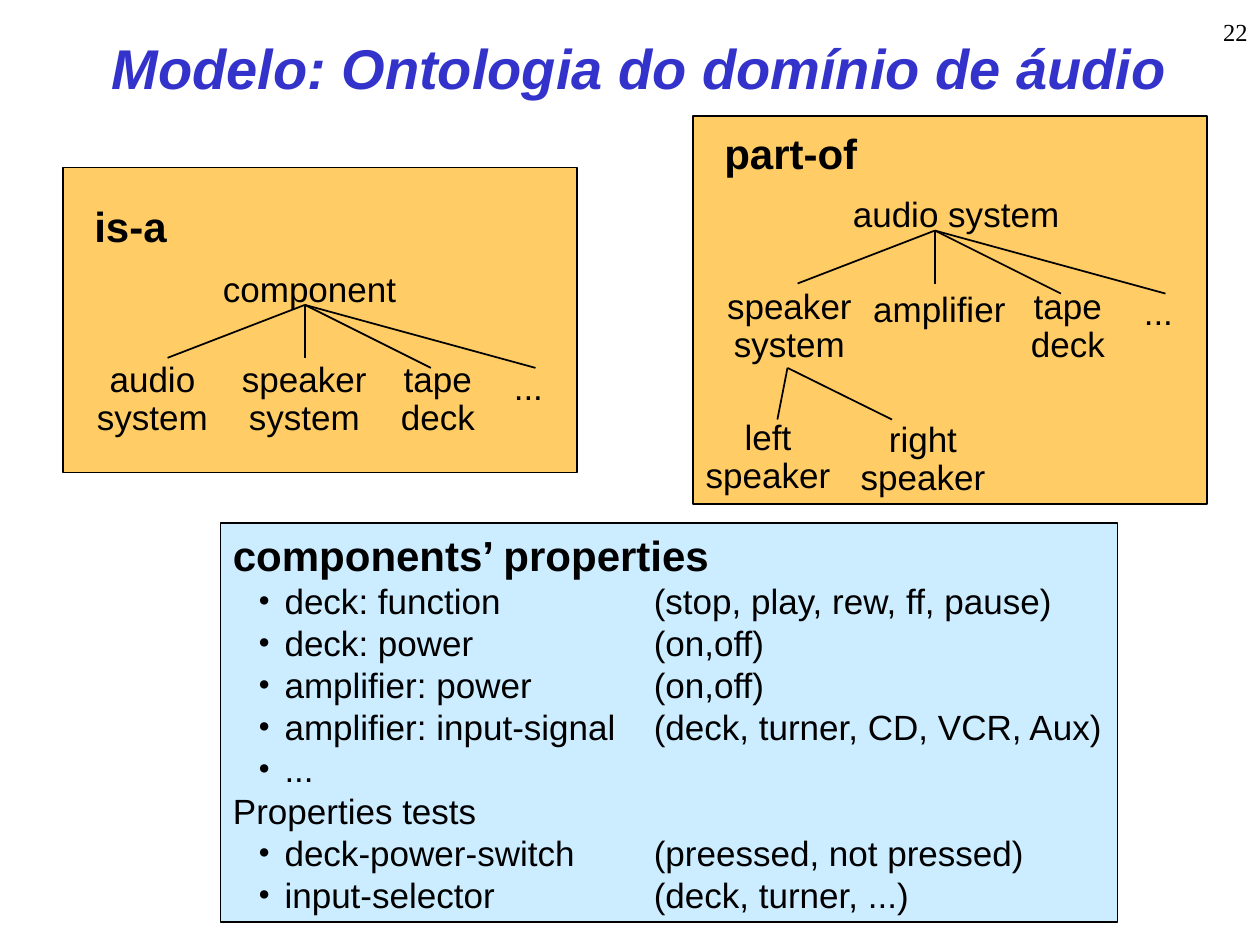
import dataclasses

import pptx
import pptx.dml.color
import pptx.enum.shapes
import pptx.enum.text
import pptx.oxml
import pptx.oxml.ns
import pptx.util

Inches = pptx.util.Inches
ALIGN = pptx.enum.text.PP_ALIGN
ANCHOR = pptx.enum.text.MSO_ANCHOR
FIT = pptx.enum.text.MSO_AUTO_SIZE


@dataclasses.dataclass(frozen=True)
class Theme:
    """Colours, fonts and sizes of the slide."""

    ink: str = "000000"
    title: str = "3333CC"
    tree: str = "FFCC66"
    properties: str = "CCECFF"
    font: str = "Arial"
    number_font: str = "Times New Roman"
    title_size: int = 32
    heading_size: int = 24
    body_size: int = 20
    number_size: int = 14
    line: int = 1


def rgb(value):
    """Turn a hex string into a colour."""
    return pptx.dml.color.RGBColor.from_string(value)


def write(para, text, *, size, font, color, bold=False, italic=False, align=None, spacing=None):
    """Put one formatted run of text in a paragraph."""
    span = para.add_run()
    span.text = text
    span.font.size = pptx.util.Pt(size)
    span.font.name = font
    span.font.bold = bold
    span.font.italic = italic
    span.font.color.rgb = rgb(color)
    para.alignment = align
    para.line_spacing = spacing


def add_xml(parent, tag, **attributes):
    """Append a DrawingML element to its parent."""
    child = pptx.oxml.parse_xml(f"<a:{tag} {pptx.oxml.ns.nsdecls('a')}/>")
    for name, value in attributes.items():
        child.set(name, str(value))
    parent.append(child)
    return child


class SlideBuilder:
    """Draws styled elements on the current slide or group."""

    def __init__(self, page, theme):
        """Keep the slide and its theme."""
        self.page = page
        self.theme = theme
        self.shapes = page.shapes

    def start_group(self):
        """Send the next elements to a new group."""
        self.shapes = self.page.shapes.add_group_shape().shapes

    def end_group(self):
        """Send the next elements to the slide itself."""
        self.shapes = self.page.shapes

    def format(self, **changes):
        """Give the body text format with changes."""
        body = {"size": self.theme.body_size, "font": self.theme.font, "color": self.theme.ink}
        return body | changes

    def title(self, text, left, top, width, height):
        """Place and fill the title placeholder."""
        box = self.page.shapes.title
        box.left, box.top, box.width, box.height = map(Inches, (left, top, width, height))
        box.text_frame.vertical_anchor = ANCHOR.MIDDLE
        box.text_frame.auto_size = FIT.NONE
        style = self.format(size=self.theme.title_size, color=self.theme.title, bold=True, italic=True)
        write(box.text_frame.paragraphs[0], text, align=ALIGN.CENTER, **style)

    def panel(self, left, top, width, height, fill, outlined=True):
        """Draw a filled rectangle."""
        box = self.shapes.add_shape(
            pptx.enum.shapes.MSO_SHAPE.RECTANGLE, *map(Inches, (left, top, width, height))
        )
        box.shadow.inherit = False
        box.fill.solid()
        box.fill.fore_color.rgb = rgb(fill)
        if outlined:
            box.line.color.rgb = rgb(self.theme.ink)
            box.line.width = pptx.util.Pt(self.theme.line)
        else:
            box.line.fill.background()
        box.text_frame.vertical_anchor = ANCHOR.TOP
        box.text_frame.word_wrap = False
        return box

    def label(self, text, left, top, width, height, **changes):
        """Write a text box with one paragraph for each line."""
        box = self.shapes.add_textbox(*map(Inches, (left, top, width, height)))
        self.fill_lines(box, text, **changes)
        return box

    def fill_lines(self, box, text, **changes):
        """Fill a box that does not wrap."""
        frame = box.text_frame
        frame.word_wrap = False
        frame.auto_size = FIT.SHAPE_TO_FIT_TEXT
        for index, line in enumerate(text.split("\n")):
            para = frame.add_paragraph() if index else frame.paragraphs[0]
            write(para, line, **self.format(**changes))

    def node(self, text, left, top, width):
        """Write a centred tree node."""
        height = 0.7 if "\n" in text else 0.4
        self.label(text, left, top, width, height, align=ALIGN.CENTER, spacing=0.9)

    def branches(self, root, ends):
        """Draw lines from a root to each end."""
        for end in ends:
            line = self.shapes.add_connector(
                pptx.enum.shapes.MSO_CONNECTOR.STRAIGHT, *map(Inches, (*root, *end))
            )
            line.line.color.rgb = rgb(self.theme.ink)
            line.line.width = pptx.util.Pt(self.theme.line)
            add_xml(line._element.spPr, "effectLst")

    def fan(self, x, y):
        """Draw the four branches below a tree root."""
        offsets = ((-1.09, 0.42), (0, 0.42), (1, 0.5), (1.83, 0.5))
        self.branches((x, y), [(x + dx, y + dy) for dx, dy in offsets])

    def property_list(self, box, heading, sections, tab):
        """Fill a box with a heading and bulleted two-column rows."""
        frame = box.text_frame
        frame.auto_size = FIT.SHAPE_TO_FIT_TEXT
        write(frame.paragraphs[0], heading, align=ALIGN.LEFT,
              **self.format(size=self.theme.heading_size, bold=True))
        for subheading, rows in sections:
            if subheading:
                write(frame.add_paragraph(), subheading, align=ALIGN.LEFT, **self.format())
            for row in rows:
                para = frame.add_paragraph()
                write(para, "\t".join(row), align=ALIGN.LEFT, **self.format())
                para.level = 1
                props = para._p.get_or_add_pPr()
                props.set("marL", str(Inches(0.41)))
                props.set("indent", str(Inches(-0.21)))
                add_xml(add_xml(props, "buClr"), "srgbClr", val=self.theme.ink)
                add_xml(props, "buFont", typeface=self.theme.number_font)
                add_xml(props, "buChar", char="•")
                add_xml(add_xml(props, "tabLst"), "tab", pos=Inches(tab), algn="l")


def main():
    """Build and save the slide."""
    deck = pptx.Presentation()
    deck.slide_width, deck.slide_height = Inches(10), Inches(7.5)
    theme = Theme()
    slide = SlideBuilder(deck.slides.add_slide(deck.slide_layouts[5]), theme)
    heading = {"size": theme.heading_size, "bold": True}

    slide.start_group()
    slide.panel(0.5, 1.33, 4.08, 2.42, theme.tree)
    slide.label("is-a", 0.65, 1.54, 0.82, 0.5, **heading)
    slide.label("component", 1.67, 2.07, 1.62, 0.44)
    for text, left, width in (
        ("audio\nsystem", 0.67, 1.08), ("speaker\nsystem", 1.82, 1.19), ("tape\ndeck", 3.08, 0.79)
    ):
        slide.node(text, left, 2.83, width)
    slide.fan(2.42, 2.42)
    slide.label("...", 3.98, 2.85, 0.43, 0.44)
    slide.end_group()

    slide.title("Modelo: Ontologia do domínio de áudio", 0.5, 0.22, 9.15, 0.63)
    properties = slide.panel(1.75, 4.15, 7.12, 3.17, theme.properties)
    sections = (
        (None, (
            ("deck: function ", "(stop, play, rew, ff, pause)"),
            ("deck: power", "(on,off)"),
            ("amplifier: power", "(on,off)"),
            ("amplifier: input-signal", "(deck, turner, CD, VCR, Aux)"),
            ("...",),
        )),
        ("Properties tests", (
            ("deck-power-switch", "(preessed, not pressed)"),
            ("input-selector", "(deck, turner, ...)"),
        )),
    )
    slide.property_list(properties, "components’ properties", sections, tab=3.34)

    slide.start_group()
    slide.panel(5.5, 0.92, 4.08, 3.08, theme.tree)
    slide.label("audio system", 6.67, 1.48, 1.88, 0.44)
    for text, left, top, width in (
        ("speaker\nsystem", 5.67, 2.25, 1.19), ("amplifier", 6.83, 2.27, 1.25),
        ("tape\ndeck", 8.08, 2.25, 0.79),
        ("left\nspeaker", 5.5, 3.29, 1.19), ("right\nspeaker", 6.73, 3.3, 1.19),
    ):
        slide.node(text, left, top, width)
    slide.fan(7.42, 1.83)
    slide.branches((6.25, 2.92), ((7.08, 3.33), (6.17, 3.33)))
    slide.label("...", 8.98, 2.26, 0.43, 0.44)
    part_of = slide.panel(5.65, 0.96, 1.32, 0.5, theme.tree, outlined=False)
    slide.fill_lines(part_of, "part-of", align=ALIGN.LEFT, **heading)
    slide.end_group()

    number = slide.label("22", 8.01, 0, 1.99, 0.5, size=theme.number_size,
                         font=theme.number_font, align=ALIGN.RIGHT)
    number.text_frame.word_wrap = True
    number.text_frame.auto_size = FIT.NONE
    number.text_frame.vertical_anchor = ANCHOR.MIDDLE
    deck.save("out.pptx")


if __name__ == "__main__":
    main()
